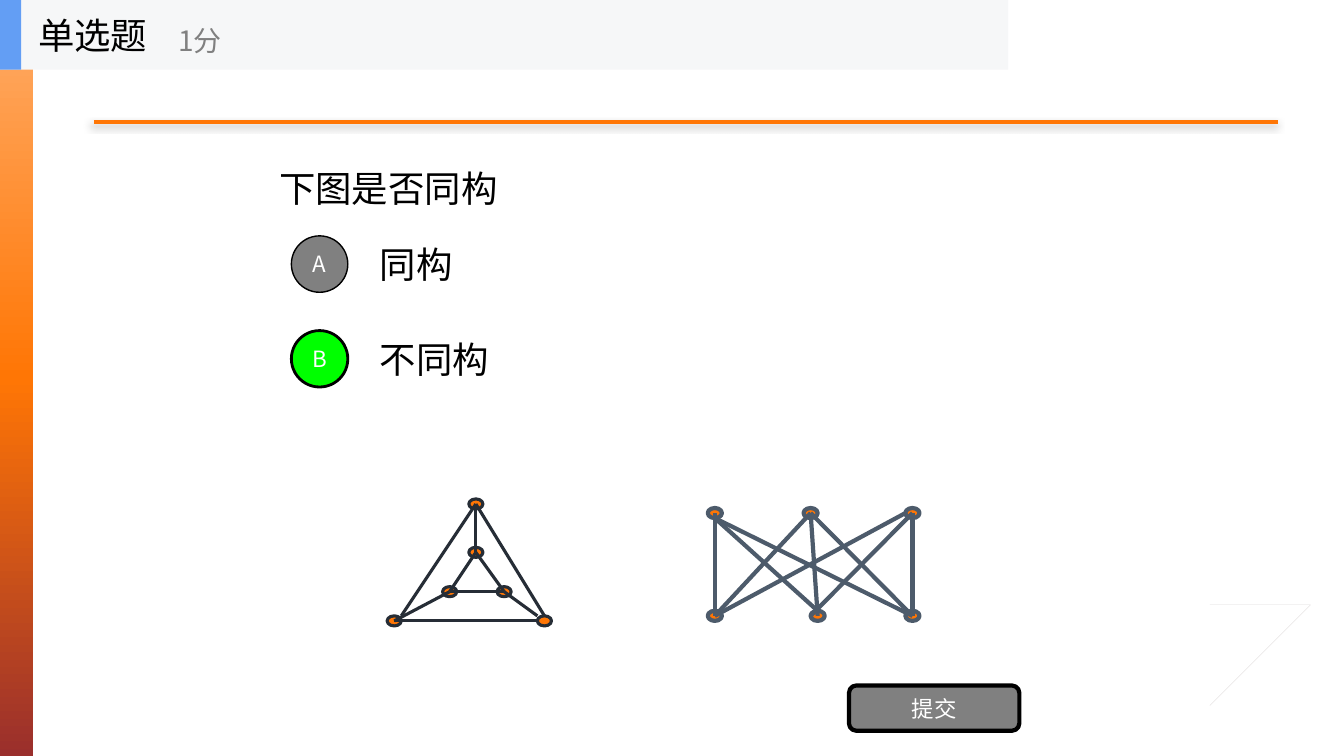
"""Build a single-choice quiz slide that asks whether two graphs are isomorphic."""
from copy import deepcopy
from dataclasses import dataclass

from lxml.etree import SubElement
from pptx import Presentation
from pptx.dml.color import RGBColor
from pptx.enum.shapes import MSO_CONNECTOR as CONN, MSO_SHAPE as SHAPE
from pptx.enum.text import MSO_ANCHOR as ANCHOR, MSO_AUTO_SIZE as FIT, PP_ALIGN as ALIGN
from pptx.oxml.ns import qn
from pptx.util import Inches, Pt


@dataclass(frozen=True)
class Theme:
    """Colours, font and type sizes of the slide."""
    font: str = "Noto Sans CJK SC"
    title: int = 26
    score: int = 20
    label: int = 16
    black: str = "000000"
    white: str = "FFFFFF"
    grey: str = "808080"
    green: str = "00FF00"
    orange: str = "FF7605"
    arrow: str = "A79D99"
    header: str = "F6F7F8"
    accent: str = "639EF4"
    navy: str = "262D36"
    slate: str = "4D5B6B"
    side: tuple = ((0, "FFAD69"), (0.5, "FF7605"), (1, "9A2F2C"))


T = Theme()


@dataclass(frozen=True)
class Box:
    """A rectangle in inches."""
    x: float
    y: float
    w: float
    h: float

    def emu(self) -> tuple:
        """Return left, top, width and height as lengths."""
        return tuple(Inches(v) for v in (self.x, self.y, self.w, self.h))


@dataclass(frozen=True)
class Label:
    """A text box with one line of text."""
    text: str
    box: Box
    size: int = T.title
    color: str = T.black
    wrap: bool = True


@dataclass(frozen=True)
class Option:
    """One answer with its letter and badge style."""
    letter: str
    text: str
    fill: str
    width: float


@dataclass(frozen=True)
class End:
    """An edge end: a node and an offset in node radii."""
    node: str
    dx: int = 0
    dy: int = 0


@dataclass(frozen=True)
class Graph:
    """Node centres and edges drawn in one line style."""
    color: str
    width: float
    nodes: dict
    edges: tuple


NODE_W, NODE_H = 0.14, 0.1

PRISM = Graph(
    T.navy, 2.25,
    {"top": (4.72, 5), "left": (3.91, 6.16), "right": (5.4, 6.16),
     "in_top": (4.72, 5.48), "in_left": (4.46, 5.87), "in_right": (5, 5.87)},
    ((End("top"), End("right", 0, -1)), (End("in_top"), End("in_right")),
     (End("left"), End("right", -1)), (End("in_left"), End("in_right")),
     (End("in_top"), End("in_left")), (End("top"), End("left", 1, -1)),
     (End("in_right"), End("right", -1, -1)), (End("top"), End("in_top")),
     (End("in_left"), End("left"))))

BIPARTITE = Graph(
    T.slate, 3,
    {"a": (7.09, 5.09), "b": (8.04, 5.09), "c": (9.05, 5.09),
     "x": (7.09, 6.11), "y": (8.11, 6.11), "z": (9.05, 6.11)},
    ((End("a"), End("x")), (End("a", 0, 1), End("z")), (End("a", 0, 1), End("y", 0, -1)),
     (End("b"), End("x")), (End("b"), End("y")), (End("b"), End("z")),
     (End("c", -1), End("x")), (End("c"), End("y", -1)), (End("c"), End("z"))))

OPTIONS = (Option("A", "同构", T.grey, 1), Option("B", "不同构", T.green, 2))


def write(s, text: str, size: int, color: str, align=ALIGN.LEFT):
    """Put one vertically centred paragraph into a shape."""
    tf = s.text_frame
    tf.vertical_anchor = ANCHOR.MIDDLE
    p = tf.paragraphs[0]
    p.text, p.alignment = text, align
    p.font.size = Pt(size)
    p.font.color.rgb = RGBColor.from_string(color)
    p.font.name = T.font
    SubElement(p._p.pPr.find(qn("a:defRPr")), qn("a:ea"), typeface=T.font)


def add_label(sp, label: Label):
    """Draw a text box."""
    s = sp.add_textbox(*label.box.emu())
    s.text_frame.auto_size = FIT.NONE
    s.text_frame.word_wrap = label.wrap
    write(s, label.text, label.size, label.color)


def paint(s, fill: str, line: str = "", width: float = 0):
    """Give a shape a flat fill and an optional outline."""
    s.shadow.inherit = False
    s.fill.solid()
    s.fill.fore_color.rgb = RGBColor.from_string(fill)
    if line:
        s.line.color.rgb = RGBColor.from_string(line)
        s.line.width = Pt(width)
    else:
        s.line.fill.background()


def add_shape(sp, kind, box: Box, fill: str, line: str = "", width: float = 0):
    """Draw a preset shape."""
    s = sp.add_shape(kind, *box.emu())
    paint(s, fill, line, width)
    return s


def add_line(sp, start: tuple, end: tuple, color: str, width: float):
    """Draw a straight line and return its empty effect list."""
    s = sp.add_connector(CONN.STRAIGHT, *(Inches(v) for v in (*start, *end)))
    s.line.color.rgb = RGBColor.from_string(color)
    s.line.width = Pt(width)
    return SubElement(s._element.spPr, qn("a:effectLst"))


def add_side_bar(sp):
    """Draw the vertical gradient bar."""
    s = add_shape(sp, SHAPE.RECTANGLE, Box(0, 0, 0.33, 7.5), T.orange)
    s.fill.gradient()
    s.fill.gradient_angle = 270
    stops = s._element.spPr.find(qn("a:gradFill")).find(qn("a:gsLst"))
    stops.append(deepcopy(stops[0]))
    for stop, (position, color) in zip(s.fill.gradient_stops, T.side):
        stop.position = position
        stop.color.rgb = RGBColor.from_string(color)


def add_rule(sp):
    """Draw the orange rule with its soft shadow."""
    effects = add_line(sp, (0.93, 1.21), (12.68, 1.21), T.orange, 2.5)
    shadow = SubElement(effects, qn("a:outerShdw"), blurRad=str(Pt(5)), dist=str(Pt(3)),
                        dir=str(135 * 60000), algn="ctr", rotWithShape="0")
    color = SubElement(shadow, qn("a:srgbClr"), val=T.black)
    SubElement(color, qn("a:alpha"), val="45000")


def add_chevron(sp):
    """Draw the next-page chevron."""
    fb = sp.build_freeform(12.47, 6.25, scale=Inches(1))
    fb.add_line_segments([(12.33, 6.25), (12.53, 6.49), (12.33, 6.72), (12.47, 6.72), (12.68, 6.49)])
    paint(fb.convert_to_shape(), T.arrow)


def add_graph(sp, graph: Graph):
    """Draw the nodes of a graph and then its edges."""
    for x, y in graph.nodes.values():
        box = Box(x - NODE_W / 2, y - NODE_H / 2, NODE_W, NODE_H)
        add_shape(sp, SHAPE.OVAL, box, T.orange, graph.color, graph.width)
    for edge in graph.edges:
        start, end = ((graph.nodes[e.node][0] + e.dx * NODE_W / 2,
                       graph.nodes[e.node][1] + e.dy * NODE_H / 2) for e in edge)
        add_line(sp, start, end, graph.color, graph.width)


def main():
    """Build and save the slide."""
    prs = Presentation()
    prs.slide_width, prs.slide_height = Inches(13.33), Inches(7.5)
    sp = prs.slides.add_slide(prs.slide_layouts[6]).shapes
    add_side_bar(sp)
    add_chevron(sp)
    add_rule(sp)
    add_label(sp, Label("下图是否同构", Box(2.67, 0.69, 8, 2.34)))
    for i, option in enumerate(OPTIONS):
        y = 2.27 + 0.94 * i
        add_label(sp, Label(option.text, Box(3.67, y, 7, 0.7)))
        s = add_shape(sp, SHAPE.OVAL, Box(2.89, y + 0.07, 0.56, 0.56), option.fill, T.black, option.width)
        write(s, option.letter, T.label, T.white, ALIGN.CENTER)
    s = add_shape(sp, SHAPE.ROUNDED_RECTANGLE, Box(8.42, 6.8, 1.69, 0.45), T.grey, T.black, 3)
    write(s, "提交", T.label, T.white, ALIGN.CENTER)
    for graph in (PRISM, BIPARTITE):
        add_graph(sp, graph)
    add_shape(sp, SHAPE.RECTANGLE, Box(0, 0, 10, 0.69), T.header)
    add_shape(sp, SHAPE.RECTANGLE, Box(0, 0, 0.21, 0.69), T.accent)
    add_label(sp, Label("单选题", Box(0.28, 0, 2.08, 0.69), wrap=False))
    add_label(sp, Label("1分", Box(1.67, 0.12, 2.5, 0.56), T.score, T.grey, False))
    prs.save("out.pptx")


if __name__ == "__main__":
    main()
